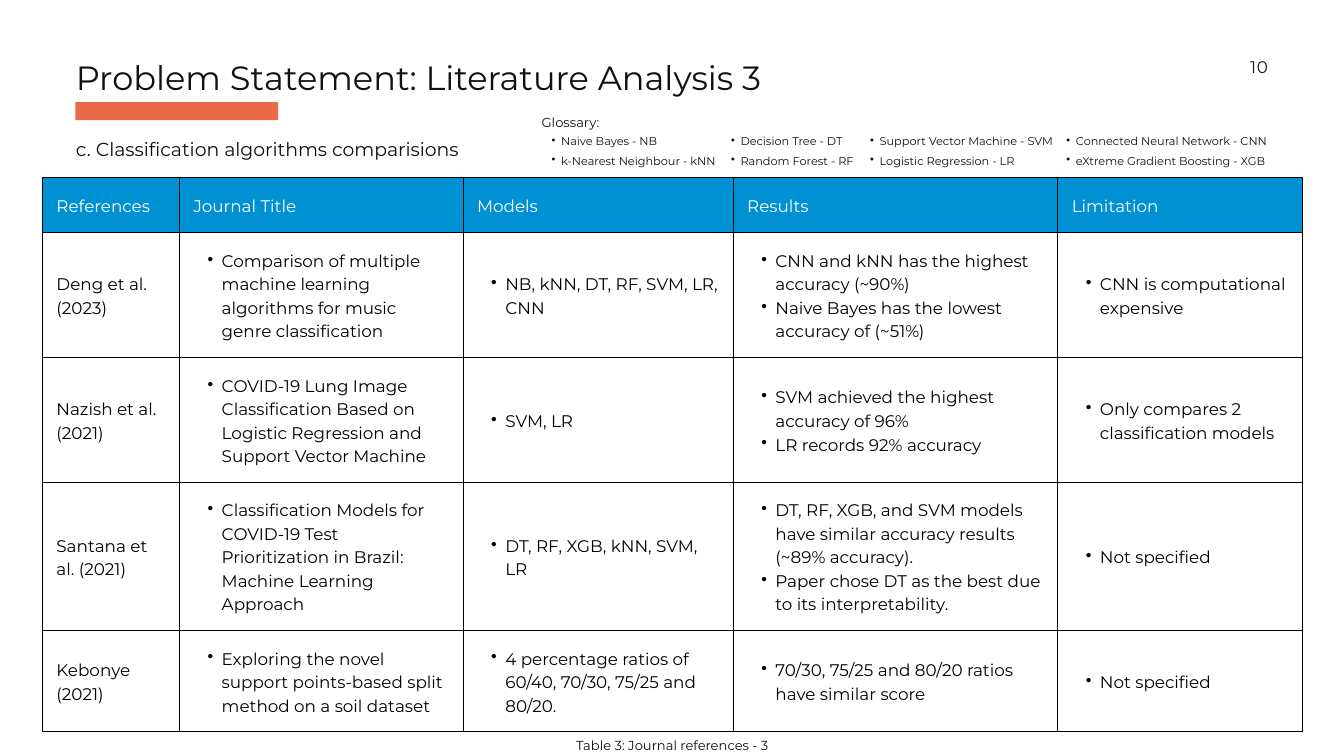
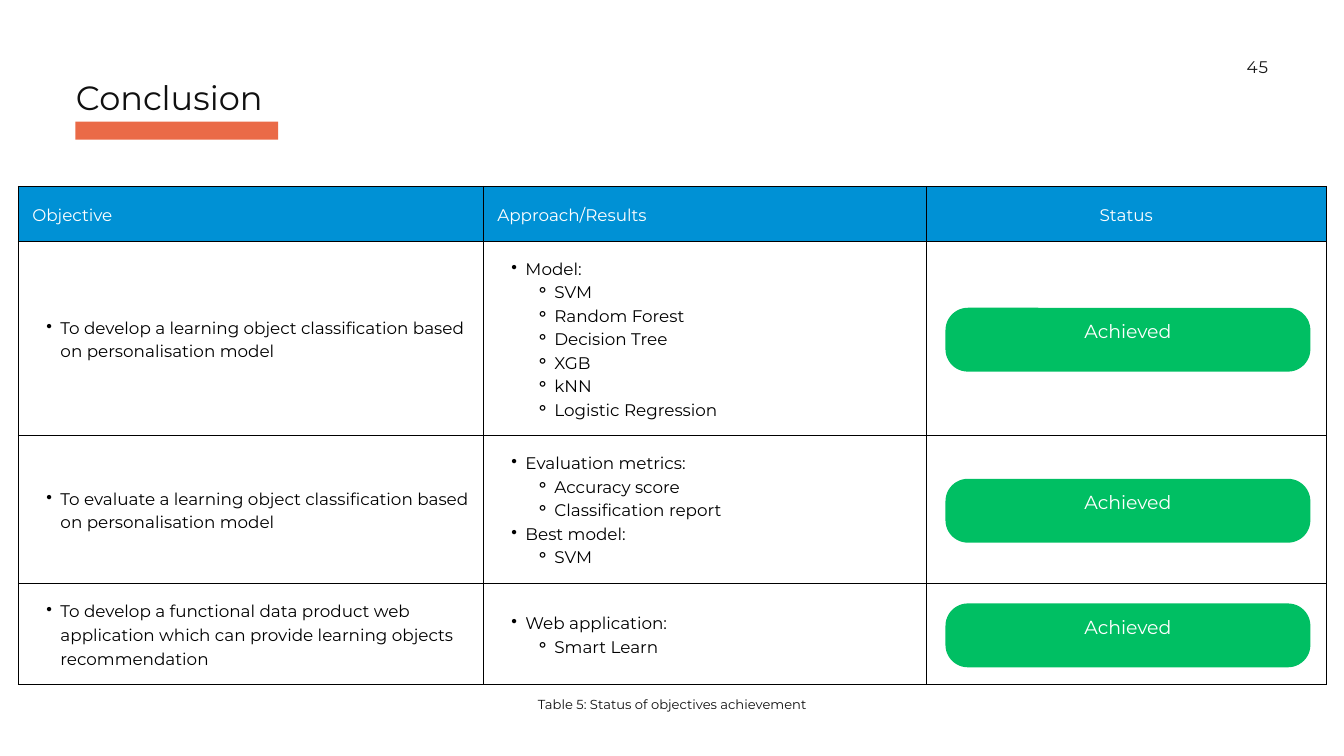
import itertools
from dataclasses import dataclass

import pptx
import pptx.dml.color
import pptx.enum.shapes
import pptx.enum.text
import pptx.oxml
import pptx.oxml.ns
import pptx.util

Inches = pptx.util.Inches
Pt = pptx.util.Pt
ALIGN = pptx.enum.text.PP_ALIGN
ANCHOR = pptx.enum.text.MSO_ANCHOR
SHAPE = pptx.enum.shapes.MSO_SHAPE


@dataclass(frozen=True)
class Theme:
    font: str = "Montserrat"
    ink: str = "101010"
    number_ink: str = "191919"
    black: str = "000000"
    white: str = "FFFFFF"
    blue: str = "0091D5"
    orange: str = "EA6A47"
    green: str = "00BF63"
    # type size and line spacing, in points
    title: tuple = (36, 50.4)
    subtitle: tuple = (20.2, 34.3)
    body: tuple = (18, 25.2)
    caption: tuple = (14, 23.8)
    glossary: tuple = (12.1, 20.6)


T = Theme()
PAD = 0.21

# bullet level -> character, left margin, first-line indent (inches)
TABLE_BULLETS = {1: ("•", 0.42, -0.21), 2: ("⚬", 0.85, -0.28)}
GLOSSARY_BULLETS = {1: ("•", 0.29, -0.14)}

GLOSSARY = [
    (2.67, ["Naive Bayes - NB", "k-Nearest Neighbour - kNN"]),
    (2.07, ["Decision Tree - DT", "Random Forest - RF"]),
    (2.92, ["Support Vector Machine - SVM", "Logistic Regression - LR"]),
    (3.65, ["Connected Neural Network - CNN", "eXtreme Gradient Boosting - XGB"]),
]

# In table cells a string is plain text and a list holds (level, text) bullets.
LITERATURE = [
    ["References", "Journal Title", "Models", "Results", "Limitation"],
    ["Deng et al. (2023)",
     [(1, "Comparison of multiple machine learning algorithms for music genre classification")],
     [(1, "NB, kNN, DT, RF, SVM, LR, CNN")],
     [(1, "CNN and kNN has the highest accuracy (~90%)"),
      (1, "Naive Bayes has the lowest accuracy of (~51%)")],
     [(1, "CNN is computational expensive")]],
    ["Nazish et al. (2021)",
     [(1, "COVID-19 Lung Image Classification Based on Logistic Regression "
          "and Support Vector Machine")],
     [(1, "SVM, LR")],
     [(1, "SVM achieved the highest accuracy of 96%"),
      (1, "LR records 92% accuracy")],
     [(1, "Only compares 2 classification models")]],
    ["Santana et al. (2021)",
     [(1, "Classification Models for COVID-19 Test Prioritization in Brazil: "
          "Machine Learning Approach")],
     [(1, "DT, RF, XGB, kNN, SVM, LR")],
     [(1, "DT, RF, XGB, and SVM models have similar accuracy results (~89% accuracy)."),
      (1, "Paper chose DT as the best due to its interpretability.")],
     [(1, "Not specified")]],
    ["Kebonye (2021)",
     [(1, "Exploring the novel support points-based split method on a soil dataset")],
     [(1, "4 percentage ratios of 60/40, 70/30, 75/25 and 80/20.")],
     [(1, "70/30, 75/25 and 80/20 ratios have similar score")],
     [(1, "Not specified")]],
]

OBJECTIVES = [
    ["Objective", "Approach/Results", "Status"],
    [[(1, "To develop a learning object classification based on personalisation model")],
     [(1, "Model:"), (2, "SVM"), (2, "Random Forest"), (2, "Decision Tree"),
      (2, "XGB"), (2, "kNN"), (2, "Logistic Regression")], None],
    [[(1, "To evaluate a learning object classification based on personalisation model")],
     [(1, "Evaluation metrics:"), (2, "Accuracy score"), (2, "Classification report"),
      (1, "Best model:"), (2, "SVM")], None],
    [[(1, "To develop a functional data product web application which can provide "
          "learning objects recommendation")],
     [(1, "Web application:"), (2, "Smart Learn")], None],
]


def rgb(color):
    return pptx.dml.color.RGBColor.from_string(color)


def write(tf, text, style=T.body, color=T.ink, align=ALIGN.LEFT,
          bullets=TABLE_BULLETS, tracking=None):
    """Fill a text frame with a string or with a list of (level, text) bullets."""
    lines = [(0, text)] if isinstance(text, str) else text
    size, spacing = style
    for i, (level, line) in enumerate(lines):
        p = tf.paragraphs[0] if i == 0 else tf.add_paragraph()
        p.alignment = align
        p.line_spacing = Pt(spacing)
        if level:
            char, margin, indent = bullets[level]
            p.level = level
            pPr = p._p.get_or_add_pPr()
            pPr.set("marL", str(Inches(margin)))
            pPr.set("indent", str(Inches(indent)))
            bu = pptx.oxml.parse_xml(
                f'<a:buChar {pptx.oxml.ns.nsdecls("a")} char="{char}"/>')
            pPr.append(bu)
        r = p.add_run()
        r.text = line
        r.font.name = T.font
        r.font.size = Pt(size)
        r.font.color.rgb = rgb(color)
        if tracking:
            r._r.get_or_add_rPr().set("spc", str(tracking))


def add_text(s, box, text, **fmt):
    tf = s.shapes.add_textbox(*map(Inches, box)).text_frame
    tf.word_wrap = True
    tf.auto_size = pptx.enum.text.MSO_AUTO_SIZE.SHAPE_TO_FIT_TEXT
    tf.margin_left = tf.margin_top = tf.margin_right = tf.margin_bottom = 0
    write(tf, text, **fmt)


def add_block(s, shape, box, color):
    sp = s.shapes.add_shape(shape, *map(Inches, box))
    sp.shadow.inherit = False
    sp.fill.solid()
    sp.fill.fore_color.rgb = rgb(color)
    sp.line.fill.background()
    return sp


def add_heading(s, title, number, top):
    """Title with its accent bar, and the page number."""
    add_text(s, (1.13, top, 12, 0.68), title, style=T.title, align=ALIGN.JUSTIFY)
    add_block(s, SHAPE.RECTANGLE, (1.12, top + 0.77, 3.02, 0.27), T.orange)
    add_text(s, (18.45, 0.79, 0.42, 0.34), number, color=T.number_ink,
             align=ALIGN.RIGHT, tracking=90)


def style_cell(cell, fill):
    tcPr = cell._tc.get_or_add_tcPr()
    for side in "LRTB":
        tcPr.append(pptx.oxml.parse_xml(
            f'<a:ln{side} {pptx.oxml.ns.nsdecls("a")} w="{Pt(0.75)}"><a:solidFill>'
            f'<a:srgbClr val="{T.black}"/></a:solidFill></a:ln{side}>'))
    cell.margin_left = cell.margin_right = Inches(PAD)
    cell.margin_top = cell.margin_bottom = Inches(PAD)
    cell.vertical_anchor = ANCHOR.MIDDLE
    if fill:
        cell.fill.solid()
        cell.fill.fore_color.rgb = rgb(fill)
    else:
        cell.fill.background()


def add_grid(s, left, top, widths, heights, rows, caption, gap, centred=()):
    """Bordered table with a blue header row and a caption below it."""
    width, height = sum(widths), sum(heights)
    table = s.shapes.add_table(len(heights), len(widths), Inches(left), Inches(top),
                               Inches(width), Inches(height)).table
    table.first_row = table.horz_banding = False
    for column, w in zip(table.columns, widths):
        column.width = Inches(w)
    for i, (row, h) in enumerate(zip(rows, heights)):
        table.rows[i].height = Inches(h)
        for j, text in enumerate(row):
            cell = table.cell(i, j)
            style_cell(cell, None if i else T.blue)
            if text:
                write(cell.text_frame, text, color=T.black if i else T.white,
                      align=ALIGN.CENTER if j in centred else ALIGN.LEFT)
    add_text(s, (left, top + height + gap, width, 0.3), caption,
             style=T.caption, align=ALIGN.CENTER)


def add_glossary(s, left, top):
    """Abbreviations in side-by-side columns under a small label."""
    add_text(s, (left, top, 4.09, 0.29), "Glossary:", style=T.caption,
             align=ALIGN.JUSTIFY)
    for width, terms in GLOSSARY:
        add_text(s, (left, top + 0.32, width, 0.53), [(1, term) for term in terms],
                 style=T.glossary, align=ALIGN.JUSTIFY, bullets=GLOSSARY_BULLETS)
        left += width


def add_badge(s, left, middle):
    """Green status pill centred on a table row."""
    height = 0.95
    sp = add_block(s, SHAPE.ROUNDED_RECTANGLE,
                   (left, middle - height / 2, 5.43, height), T.green)
    sp.adjustments[0] = 0.35
    tf = sp.text_frame
    tf.word_wrap = True
    tf.margin_top, tf.margin_bottom = 0, Inches(0.4)
    tf.vertical_anchor = ANCHOR.MIDDLE
    write(tf, "Achieved", style=T.subtitle, color=T.white, align=ALIGN.CENTER)


def literature_slide(s):
    add_grid(s, 0.63, 2.64, [2.04, 4.22, 4.02, 4.83, 3.64],
             [0.82, 1.86, 1.86, 2.2, 1.51], LITERATURE,
             "Table 3: Journal references - 3", gap=-0.02)
    add_heading(s, "Problem Statement: Literature Analysis 3", "10", top=0.75)
    add_text(s, (1.13, 1.91, 6.8, 0.43), "c. Classification algorithms comparisions",
             style=T.subtitle, align=ALIGN.JUSTIFY)
    add_glossary(s, 8.06, 1.6)


def conclusion_slide(s):
    left, top = 0.27, 2.77
    widths, heights = [6.92, 6.59, 5.96], [0.82, 2.89, 2.2, 1.51]
    add_heading(s, "Conclusion", "45", top=1.04)
    add_grid(s, left, top, widths, heights, OBJECTIVES,
             "Table 5: Status of objectives achievement", gap=0.07, centred=(2,))
    edges = [top + e for e in itertools.accumulate(heights)]
    for upper, lower in zip(edges, edges[1:]):
        add_badge(s, left + sum(widths[:2]) + 0.29, (upper + lower) / 2 + 0.02)


def main():
    prs = pptx.Presentation()
    prs.slide_width, prs.slide_height = Inches(20), Inches(11.25)
    for build in (literature_slide, conclusion_slide):
        build(prs.slides.add_slide(prs.slide_layouts[6]))
    prs.save("out.pptx")


if __name__ == "__main__":
    main()
